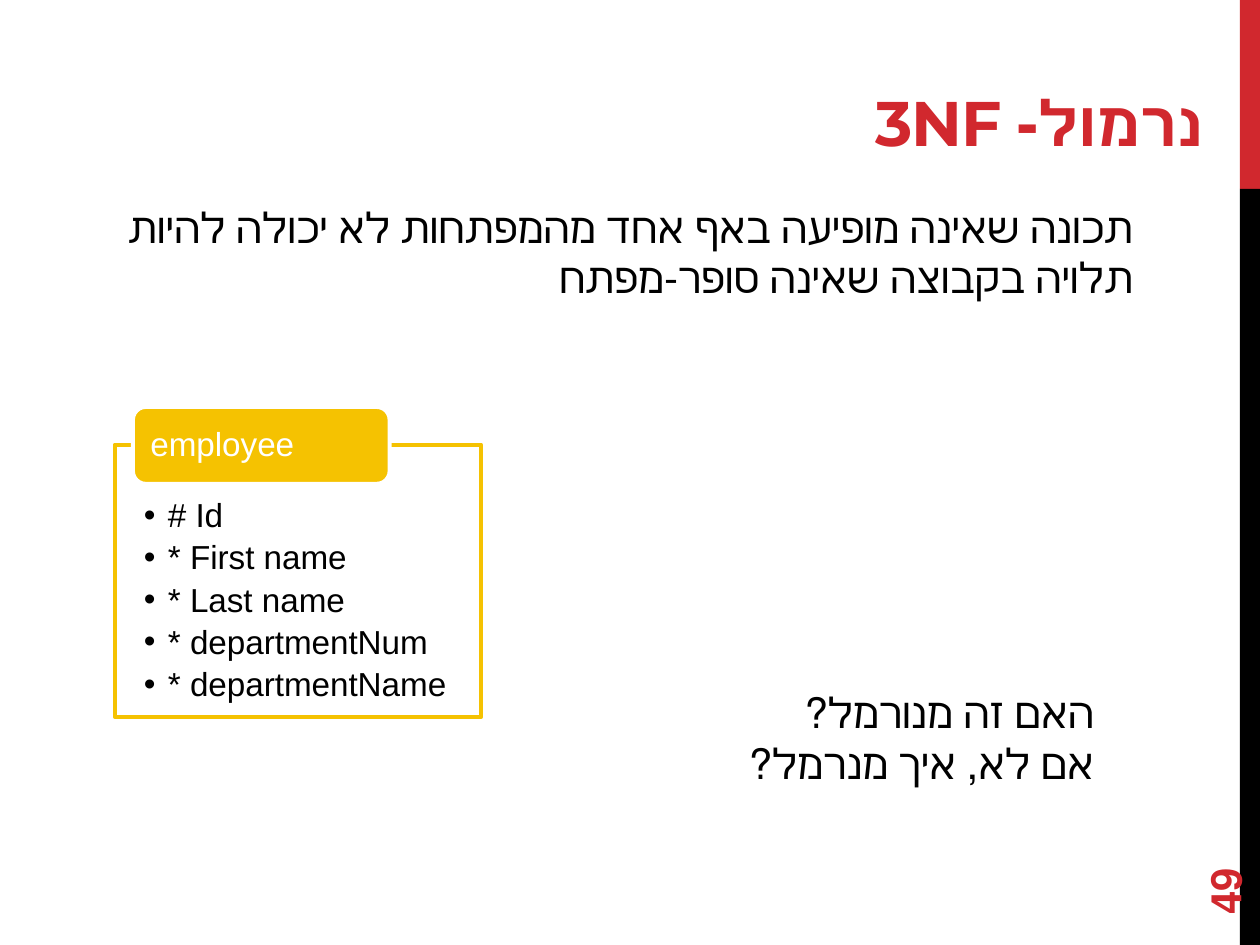
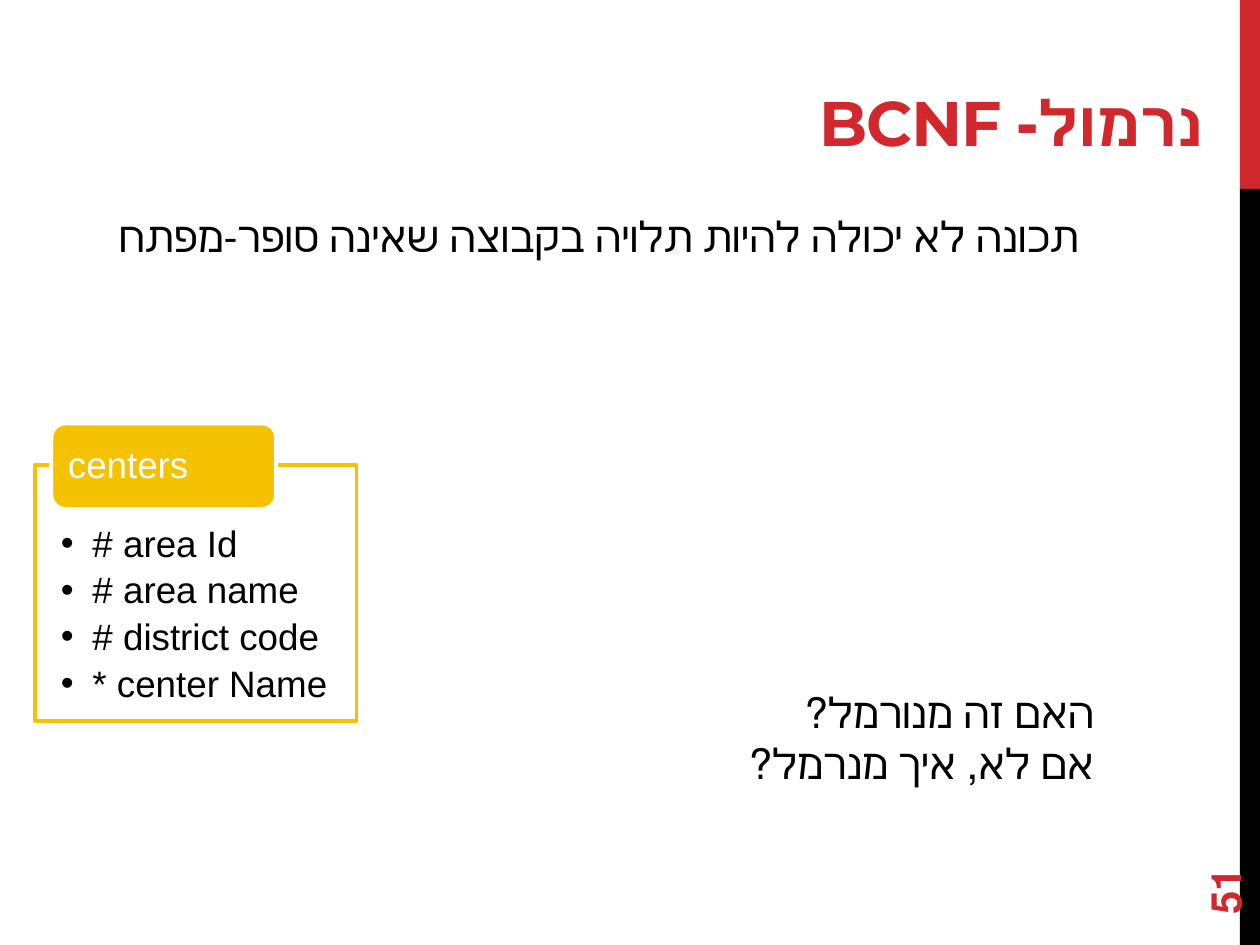
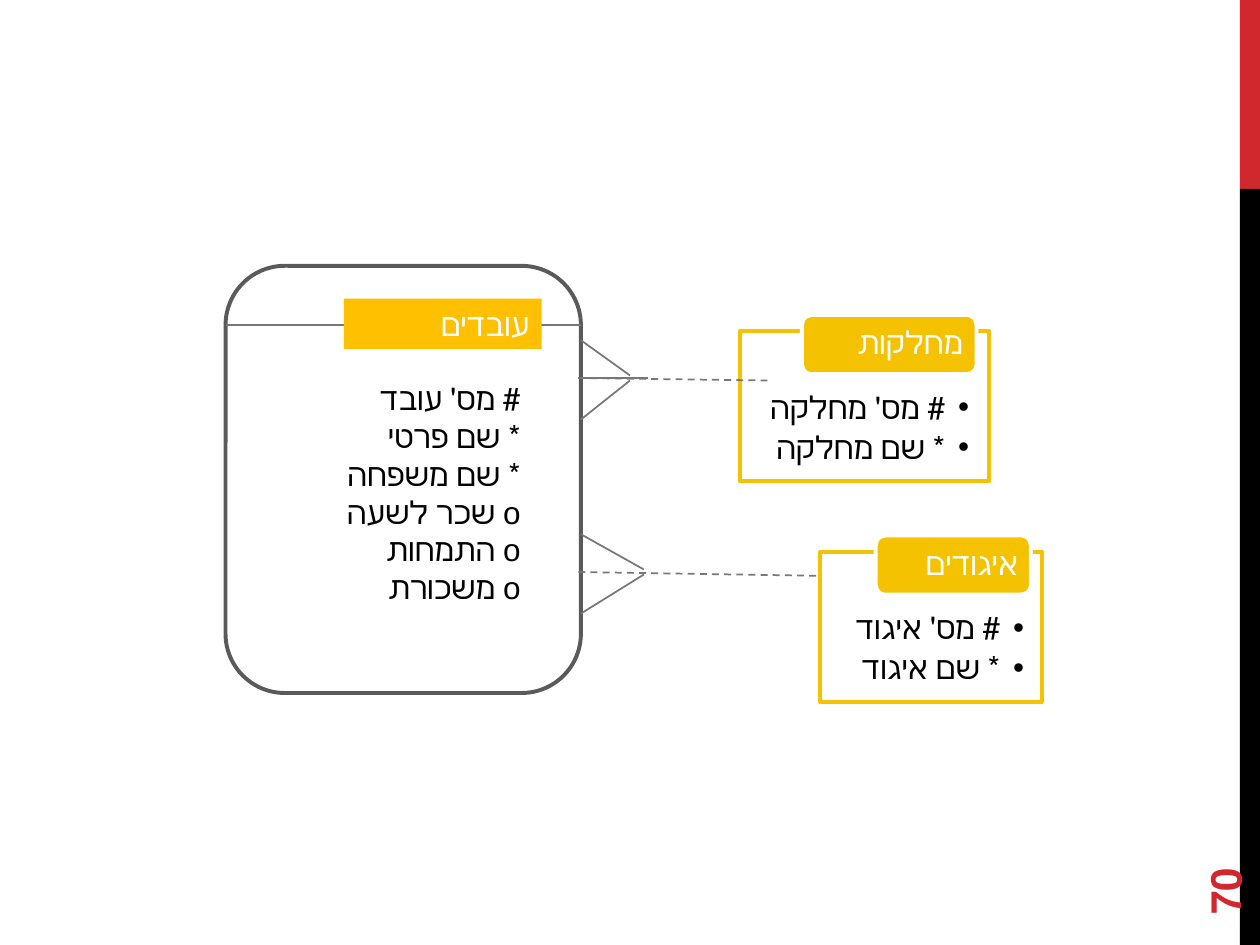
from lxml import etree
from pptx import Presentation
from pptx.dml.color import RGBColor
from pptx.enum.dml import MSO_LINE
from pptx.enum.lang import MSO_LANGUAGE_ID as LANG
from pptx.enum.shapes import MSO_CONNECTOR, MSO_SHAPE
from pptx.enum.text import MSO_ANCHOR, PP_ALIGN
from pptx.oxml.ns import qn
from pptx.util import Inches, Pt

RED = RGBColor(0xD1, 0x28, 0x2E)
BLACK = RGBColor(0, 0, 0)
WHITE = RGBColor(0xFF, 0xFF, 0xFF)
YELLOW = RGBColor(0xF5, 0xC2, 0x01)
AMBER = RGBColor(0xFF, 0xC0, 0x00)
DARK_GRAY = RGBColor(0x5A, 0x5A, 0x5A)
GRAY = RGBColor(0x77, 0x77, 0x77)
BODY_FONT, TITLE_FONT = "Arial", "Montserrat"

QUESTIONS = ["האם זה מנורמל?", "אם לא, איך מנרמל?"]


# Text
def set_bullet(p, indent):
    pPr = p._p.get_or_add_pPr()
    pPr.set("marL", str(Inches(indent)))
    pPr.set("indent", str(-Inches(indent)))
    etree.SubElement(pPr, qn("a:buFont")).set("typeface", BODY_FONT)
    etree.SubElement(pPr, qn("a:buChar")).set("char", "•")


def write(sp, lines, size, color=BLACK, bold=False, font=BODY_FONT, align=PP_ALIGN.RIGHT,
          rtl=True, anchor=MSO_ANCHOR.TOP, insets=(0.1, 0.05, 0.1, 0.05),
          bullet=None, spacing=None, after=None, tracking=None):
    tf = sp.text_frame
    tf.word_wrap = True
    tf.vertical_anchor = anchor
    tf.margin_left, tf.margin_top, tf.margin_right, tf.margin_bottom = map(Inches, insets)
    for i, line in enumerate(lines):
        p = tf.paragraphs[0] if i == 0 else tf.add_paragraph()
        p.alignment = align
        p._p.get_or_add_pPr().set("rtl", "1" if rtl else "0")
        if bullet:
            p.level = 1
            set_bullet(p, bullet)
        if spacing:
            p.line_spacing = spacing
        if after:
            p.space_after = Pt(after)
        r = p.add_run()
        r.text = line
        r.font.name, r.font.size, r.font.bold = font, Pt(size), bold
        r.font.color.rgb = color
        if rtl:
            r.font.language_id = LANG.HEBREW
        if tracking:
            r._r.get_or_add_rPr().set("spc", str(tracking))


def add_text(s, box, lines, size, **style):
    sp = s.shapes.add_textbox(*map(Inches, box))
    write(sp, lines, size, **style)
    return sp


# Shapes and lines
def add_shape(s, kind, box, fill=None, line=None, alpha=None):
    sp = s.shapes.add_shape(kind, *map(Inches, box))
    sp.shadow.inherit = False
    if fill is None:
        sp.fill.background()
    else:
        sp.fill.solid()
        sp.fill.fore_color.rgb = fill
    if alpha:
        clr = sp._element.spPr.find(qn("a:solidFill")).find(qn("a:srgbClr"))
        etree.SubElement(clr, qn("a:alpha")).set("val", str(alpha * 1000))
    if line is None:
        sp.line.fill.background()
    else:
        sp.line.color.rgb = line
        sp.line.width = Pt(2.25)
    return sp


def add_line(s, x1, y1, x2, y2, dashed=False):
    cn = s.shapes.add_connector(MSO_CONNECTOR.STRAIGHT, *map(Inches, (x1, y1, x2, y2)))
    cn.line.color.rgb = GRAY
    cn.line.width = Pt(1)
    if dashed:
        cn.line.dash_style = MSO_LINE.DASH
    etree.SubElement(cn._element.spPr, qn("a:effectLst"))


# Slide parts
def add_slide(prs, number, title=None):
    s = prs.slides.add_slide(prs.slide_layouts[6])
    add_shape(s, MSO_SHAPE.RECTANGLE, (9.84, 0, 0.16, 1.5), RED)
    add_shape(s, MSO_SHAPE.RECTANGLE, (9.84, 1.5, 0.16, 6), BLACK)
    sp = add_text(s, (9, 6.44, 1.44, 0.4), [number], 24, color=RED, bold=True,
                  align=PP_ALIGN.LEFT, anchor=MSO_ANCHOR.MIDDLE)
    sp.rotation = 270
    if title:
        add_text(s, (0.5, 0.17, 9.15, 1.14), [title], 36, color=RED, bold=True,
                 font=TITLE_FONT, anchor=MSO_ANCHOR.BOTTOM, tracking=-60)
    return s


def add_entity(s, name, fields, box, size, tab_height, tab_rise, top_inset,
               indent=0.19, rtl=False):
    """Framed field list with a name tab over its top edge."""
    x, y, w, h = box
    align = PP_ALIGN.RIGHT if rtl else PP_ALIGN.LEFT
    frame = add_shape(s, MSO_SHAPE.RECTANGLE, box, WHITE, YELLOW, alpha=90)
    write(frame, fields, size, align=align, rtl=rtl, bullet=indent, spacing=0.9,
          after=size * 0.19, insets=(0.08 * w, top_inset, 0.08 * w, 0.15))
    tab_x = x + w * (0.25 if rtl else 0.05)
    tab = add_shape(s, MSO_SHAPE.ROUNDED_RECTANGLE,
                    (tab_x, y - tab_rise, 0.7 * w, tab_height), YELLOW, WHITE)
    pad = 0.03 + 0.027 * w
    write(tab, [name], size, color=WHITE, align=align, rtl=rtl, spacing=0.9,
          anchor=MSO_ANCHOR.MIDDLE, insets=(pad, 0, pad, 0))


def add_employees(s):
    x, y, w, h = 1.79, 2.11, 2.82, 3.39
    add_shape(s, MSO_SHAPE.ROUNDED_RECTANGLE, (x, y, w, h), line=DARK_GRAY)
    add_line(s, x, 2.58, x + w, 2.58)
    name = add_shape(s, MSO_SHAPE.RECTANGLE, (2.73, 2.37, 1.57, 0.4), AMBER)
    write(name, ["עובדים"], 18, color=WHITE)
    add_text(s, (x, 2.96, 2.44, 1.92),
             ["# מס' עובד", "* שם פרטי", "* שם משפחה",
              "o שכר לשעה", "o התמחות", "o משכורת"], 18)


def add_crow_foot(s, y, tip_x, end_x, end_y):
    edge = 4.61
    add_line(s, edge, y + 0.33, tip_x, y + 0.02)
    add_line(s, edge, y - 0.3, tip_x, y - 0.02)
    add_line(s, edge - 0.02, y, end_x, end_y, dashed=True)


def main():
    prs = Presentation()
    prs.slide_width, prs.slide_height = Inches(10), Inches(7.5)
    question_box = (1.54, 5.4, 7.24, 0.91)

    # Third normal form
    s = add_slide(prs, "49", "נרמול- 3NF")
    add_entity(s, "employee",
               ["# Id", "* First name", "* Last name", "* departmentNum", "* departmentName"],
               (0.91, 3.53, 2.91, 2.16), 19, 0.61, 0.3, 0.43)
    add_text(s, (0.59, 1.55, 8.5, 0.91),
             ["תכונה שאינה מופיעה באף אחד מהמפתחות לא יכולה להיות "
              "תלויה בקבוצה שאינה סופר-מפתח"], 24)
    add_text(s, question_box, QUESTIONS, 24)

    # Boyce-Codd normal form
    s = add_slide(prs, "51", "נרמול- BCNF")
    add_entity(s, "centers",
               ["# area Id", "# area name", "# district code", "* center Name"],
               (0.28, 3.69, 2.55, 2.03), 21, 0.68, 0.33, 0.48, indent=0.25)
    add_text(s, (0.43, 1.62, 8.23, 0.5),
             ["תכונה לא יכולה להיות תלויה בקבוצה שאינה סופר-מפתח"], 24)
    add_text(s, question_box, QUESTIONS, 24)

    # Entity diagram
    s = add_slide(prs, "70")
    add_employees(s)
    for name, fields, box in [
        ("מחלקות", ["# מס' מחלקה", "* שם מחלקה"], (5.87, 2.63, 1.98, 1.19)),
        ("איגודים", ["# מס' איגוד", "* שם איגוד"], (6.51, 4.38, 1.76, 1.19)),
    ]:
        add_entity(s, name, fields, box, 18, 0.47, 0.13, 0.48, rtl=True)
    add_line(s, 4.59, 3, 5.14, 3)
    add_crow_foot(s, 3, 5, 6.09, 3.02)
    add_crow_foot(s, 4.54, 5.11, 6.48, 4.57)

    prs.save("out.pptx")


if __name__ == "__main__":
    main()
